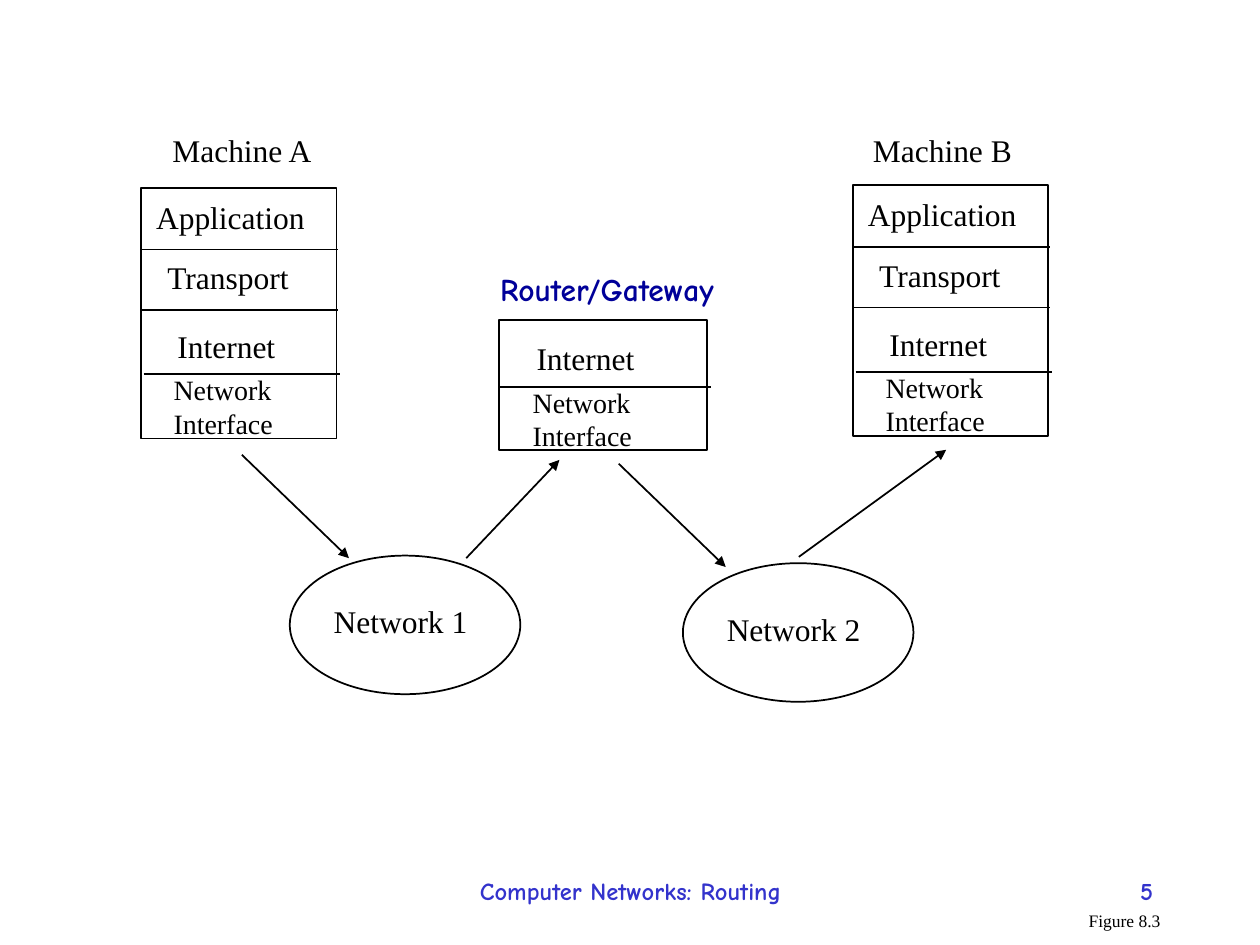
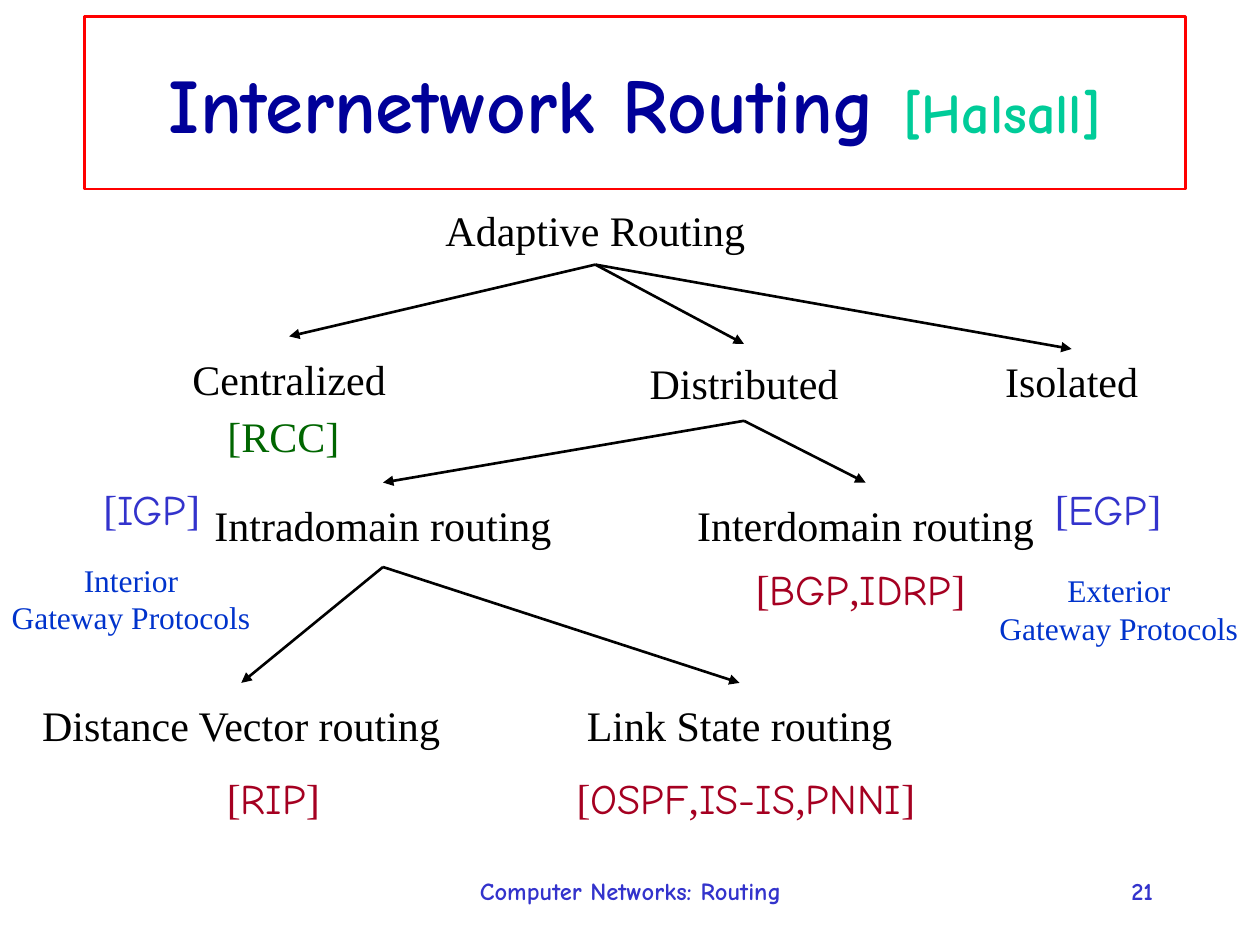
from lxml import etree
from pptx import Presentation
from pptx import util as u
from pptx.dml.color import RGBColor
from pptx.enum import shapes, text
from pptx.oxml.ns import qn

COLORS = {
    "ink": "000000",
    "paper": "FFFFFF",
    "title": "000099",
    "source": "00CC99",
    "frame": "FF0000",
    "footer": "3333CC",
    "family": "0033CC",
    "protocol": "A50021",
    "center": "006600",
}
SERIF = "Times New Roman"
COMIC = "Comic Neue"
LEFT, CENTER, RIGHT = text.PP_ALIGN.LEFT, text.PP_ALIGN.CENTER, text.PP_ALIGN.RIGHT
TOP, MIDDLE = text.MSO_ANCHOR.TOP, text.MSO_ANCHOR.MIDDLE

INTERNET = ("Internet", 0.98)
INTERFACE = ("Network Interface", 1.24)
MACHINE_LAYERS = [
    ("Application", 1.38, 0.02, 0.03),
    ("Transport", 1.17, 0.11, 0.51),
    (*INTERNET, 0.19, 1.06),
    (*INTERFACE, 0.16, 1.42),
]
MACHINE_DIVIDERS = [(0, 0.49), (0, 0.97), (0.02, 1.48)]
ROUTER_LAYERS = [(*INTERNET, 0.2, 0.1), (*INTERFACE, 0.17, 0.47)]
ROUTER_DIVIDERS = [(0, 0.53)]


def color(name):
    """Return the named palette colour."""
    return RGBColor.from_string(COLORS[name])


def run(words, size=18, font=SERIF, ink="ink", bold=False):
    """Describe one run of text."""
    return words, size, font, ink, bold


def write(shape, lines, align=LEFT, anchor=TOP, wrap=False):
    """Fill a shape with paragraphs, each given as a list of runs."""
    frame = shape.text_frame
    frame.word_wrap = wrap
    frame.vertical_anchor = anchor
    for index, runs in enumerate(lines):
        paragraph = frame.add_paragraph() if index else frame.paragraphs[0]
        paragraph.alignment = align
        for words, size, font, ink, bold in runs:
            piece = paragraph.add_run()
            piece.text = words
            piece.font.size = u.Pt(size)
            piece.font.name = font
            piece.font.bold = bold
            piece.font.color.rgb = color(ink)


def add_text(slide, box, piece, align=LEFT, anchor=TOP, wrap=False, grow=True):
    """Add a text box holding a single run."""
    shape = slide.shapes.add_textbox(*map(u.Inches, box))
    write(shape, [[piece]], align, anchor, wrap)
    if grow:
        shape.text_frame.auto_size = text.MSO_AUTO_SIZE.SHAPE_TO_FIT_TEXT
    return shape


def add_outline(slide, box, line="ink", weight=1, fill=None, kind="RECTANGLE"):
    """Add a preset shape with a plain outline and an optional fill."""
    preset = getattr(shapes.MSO_SHAPE, kind)
    shape = slide.shapes.add_shape(preset, *map(u.Inches, box))
    shape.shadow.inherit = False
    if fill:
        shape.fill.solid()
        shape.fill.fore_color.rgb = color(fill)
    else:
        shape.fill.background()
    shape.line.color.rgb = color(line)
    shape.line.width = u.Pt(weight)
    return shape


def add_line(slide, start, end, weight=1, arrow=False):
    """Add a straight line, with an arrowhead at its end if asked."""
    line = slide.shapes.add_connector(
        shapes.MSO_CONNECTOR.STRAIGHT, *map(u.Inches, (*start, *end)))
    line.line.color.rgb = color("ink")
    line.line.width = u.Pt(weight)
    if arrow:
        outline = line._element.spPr.find(qn("a:ln"))
        etree.SubElement(outline, qn("a:tailEnd"), type="triangle")
    etree.SubElement(line._element.spPr, qn("a:effectLst"))
    return line


def add_footer(slide, number):
    """Add the course name and the slide number."""
    for box, words, align in (
        ((3.42, 6.9, 3.17, 0.35), "Computer Networks: Routing", CENTER),
        ((7.17, 6.9, 2.08, 0.35), str(number), RIGHT),
    ):
        add_text(slide, box, run(words, 14, COMIC, "footer", True), align,
                 wrap=True, grow=False)


def add_stack(slide, box, layers, dividers, overhang):
    """Add a protocol stack whose layers and dividers are placed within its box."""
    left, top, width, _ = box
    add_outline(slide, box)
    for dx, dy in dividers:
        start = left + dx
        add_line(slide, (start, top + dy), (start + width + overhang, top + dy))
    for words, label_width, dx, dy in layers:
        two_lines = words == INTERFACE[0]
        add_text(slide, (left + dx, top + dy, label_width, 0.63 if two_lines else 0.4),
                 run(words, 16 if two_lines else 18), wrap=two_lines)


def add_network(slide, left, top, name):
    """Add a network ellipse and its name."""
    add_outline(slide, (left, top, 1.83, 1.1), kind="OVAL")
    add_text(slide, (left + 0.25, top + 0.32, 1.26, 0.4), run(name))


def build_gateway_slide(slide):
    """Show two machines joined through a router and two networks."""
    add_footer(slide, 5)
    for left, top, name, name_left in (
        (1.12, 1.49, "Machine A", 1.27),
        (6.77, 1.47, "Machine B", 6.83),
    ):
        add_stack(slide, (left, top, 1.55, 1.99), MACHINE_LAYERS, MACHINE_DIVIDERS, 0.01)
        add_text(slide, (name_left, 0.99, 1.34, 0.4), run(name))
    add_stack(slide, (3.96, 2.54, 1.65, 1.03), ROUTER_LAYERS, ROUTER_DIVIDERS, 0.03)
    add_text(slide, (3.87, 2.09, 1.92, 0.4),
             run("Router/Gateway", 18, COMIC, "title", True))
    add_network(slide, 2.3, 4.41, "Network 1")
    add_network(slide, 5.42, 4.47, "Network 2")
    for start, end in (
        ((1.92, 3.61), (2.77, 4.43)),
        ((3.7, 4.43), (4.44, 3.65)),
        ((4.91, 3.68), (5.76, 4.5)),
        ((6.34, 4.42), (7.51, 3.57)),
    ):
        add_line(slide, start, end, arrow=True)
    add_text(slide, (8.54, 7.17, 0.77, 0.27), run("Figure 8.3", 10), CENTER, MIDDLE)


def add_title(slide, title, source):
    """Add the framed title followed by its source."""
    shape = add_outline(slide, (0.67, 0.13, 8.74, 1.37), "frame", 1.5)
    write(shape, [[run(title + " ", 44, COMIC, "title", True),
                   run(source, 32, COMIC, "source", True)]], CENTER, MIDDLE, True)


def add_label(slide, box, lines, weight=1.5):
    """Add a white box with centred text."""
    shape = add_outline(slide, box, "paper", weight, "paper")
    write(shape, lines, CENTER, MIDDLE)
    return shape


def bracketed(names, ink):
    """Return the runs of a bracketed list of protocol names."""
    runs = []
    for index, name in enumerate(names):
        runs += [run("," if index else "[", 24, SERIF, ink), run(name, 24, COMIC, ink)]
    return runs + [run("]", 24, SERIF, ink)]


def add_tree(slide, nodes, branches):
    """Add the tree's nodes and join each parent to its children."""
    placed = {name: add_label(slide, box, [[run(name, 24)]], 0.75)
              for name, box in nodes.items()}
    for parent, children in branches.items():
        for child in children:
            arrow = add_line(slide, (0, 0), (1, 1), 1.5, True)
            arrow.begin_connect(placed[parent], 2)
            arrow.end_connect(placed[child], 0)


def build_routing_slide(slide):
    """Show the tree of adaptive routing methods and their protocols."""
    add_footer(slide, 21)
    add_title(slide, "Internetwork Routing", "[Halsall]")
    add_tree(slide, {
        "Adaptive Routing": (3.35, 1.55, 2.75, 0.55),
        "Centralized": (0.92, 2.67, 2.75, 0.67),
        "Distributed": (4.53, 2.73, 2.75, 0.61),
        "Isolated": (7.13, 2.77, 2.75, 0.51),
        "Intradomain routing": (1.5, 3.83, 3.08, 0.67),
        "Interdomain routing": (5.33, 3.83, 3.08, 0.67),
        "Distance Vector routing": (0.25, 5.42, 3.33, 0.67),
        "Link State routing": (4.33, 5.42, 3.08, 0.67),
    }, {
        "Adaptive Routing": ("Centralized", "Distributed", "Isolated"),
        "Distributed": ("Intradomain routing", "Interdomain routing"),
        "Intradomain routing": ("Distance Vector routing", "Link State routing"),
    })
    for box, names, ink in (
        ((0.83, 3.75, 0.75, 0.58), ["IGP"], "footer"),
        ((8.42, 3.75, 0.75, 0.58), ["EGP"], "footer"),
        ((5.83, 4.42, 2, 0.5), ["BGP", "IDRP"], "protocol"),
        ((4.42, 6.08, 3, 0.5), ["OSPF", "IS-IS", "PNNI"], "protocol"),
        ((1.67, 6.08, 1, 0.5), ["RIP"], "protocol"),
    ):
        add_label(slide, box, [bracketed(names, ink)])
    add_label(slide, (1.75, 3.25, 1, 0.42), [[run("[RCC]", 24, ink="center")]])
    for box, kind in (
        ((0.08, 4.5, 1.92, 0.5), "Interior"),
        ((7.92, 4.5, 1.92, 0.67), "Exterior"),
    ):
        add_label(slide, box, [[run(words, ink="family")]
                               for words in (kind, "Gateway Protocols")])


def main():
    """Build and save the presentation."""
    presentation = Presentation()
    presentation.slide_width = u.Inches(10)
    presentation.slide_height = u.Inches(7.5)
    for build in (build_gateway_slide, build_routing_slide):
        build(presentation.slides.add_slide(presentation.slide_layouts[6]))
    presentation.save("out.pptx")


if __name__ == "__main__":
    main()
